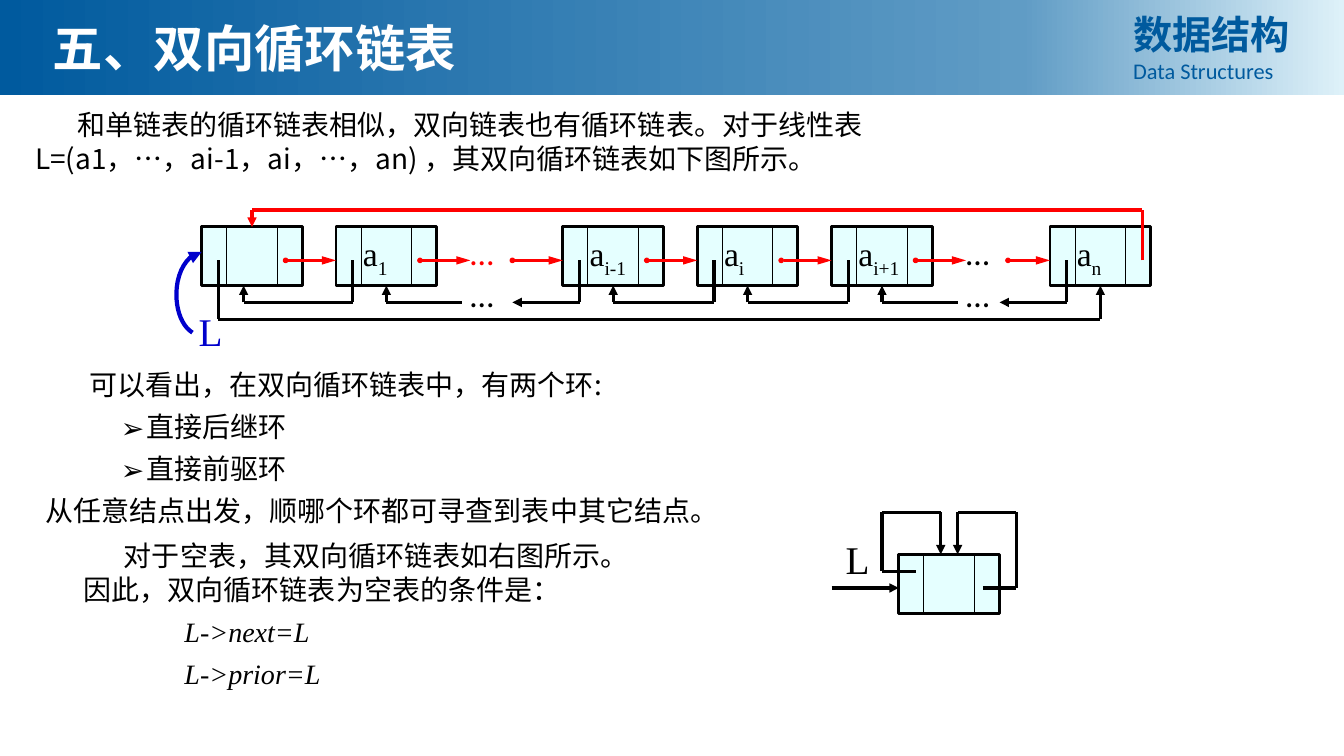
"""Build a slide on the doubly linked circular list."""
from copy import deepcopy
from dataclasses import dataclass
from typing import Optional

from lxml import etree
from pptx import Presentation
from pptx.dml.color import RGBColor
from pptx.enum.shapes import MSO_CONNECTOR, MSO_SHAPE
from pptx.enum.text import MSO_ANCHOR, PP_ALIGN
from pptx.oxml.ns import qn
from pptx.util import Pt

RECT = MSO_SHAPE.RECTANGLE
LINE = MSO_CONNECTOR.STRAIGHT
MID = MSO_ANCHOR.MIDDLE
LEFT = PP_ALIGN.LEFT
SONG, ROMAN, SANS = "Noto Sans CJK SC", "Times New Roman", "Calibri"
BLACK, RED, BLUE, NAVY, WHITE = "000000", "FF0000", "0000CC", "005A9E", "FFFFFF"
TOP, LOW = 0, 2
WIDE, HIGH = 72, 42
ROW, NEXT, PRIOR = 162, 186, 216


@dataclass
class Run:
    text: str
    size: float = 20
    font: str = SONG
    hue: str = BLACK
    bold: bool = False
    ital: bool = False
    base: int = 0


@dataclass
class Para:
    runs: list[Run]
    left: float = 0
    first: float = 0
    gap: float = 0
    mark: str = ""


@dataclass
class Box:
    x: float
    y: float
    w: float
    h: float
    paras: list[Para]
    side: float = 7.2
    wrap: bool = True


@dataclass
class Wire:
    dots: list[tuple[float, float]]
    hue: str = BLACK
    width: float = 2.25
    tip: bool = True
    link: bool = False
    join: Optional[tuple] = None


def rgb(code: str) -> RGBColor:
    """Turn a hex string into a colour."""
    return RGBColor.from_string(code)


def add_tag(host, name: str, **attrs: str) -> None:
    """Append one drawing element."""
    etree.SubElement(host, qn(name), attrs)


def write(frame, paras: list[Para]) -> None:
    """Fill a text frame run by run."""
    for i, para in enumerate(paras):
        p = frame.add_paragraph() if i else frame.paragraphs[0]
        props = p._p.get_or_add_pPr()
        props.set("marL", str(Pt(para.left)))
        props.set("indent", str(Pt(para.first)))
        if para.mark:
            add_tag(props, "a:buFont", typeface=SONG)
            add_tag(props, "a:buChar", char=para.mark)
        p.alignment = LEFT
        p.space_before = Pt(para.gap)
        for part in para.runs:
            if part.text == "\n":
                p.add_line_break()
                continue
            run = p.add_run()
            run.text = part.text
            font = run.font
            font.size, font.name = Pt(part.size), part.font
            font.bold, font.italic = part.bold, part.ital
            font.color.rgb = rgb(part.hue)
            props = run._r.get_or_add_rPr()
            add_tag(props, "a:ea", typeface=part.font)
            if part.base:
                props.set("baseline", str(part.base * 1000))


def draw_box(shapes, box: Box) -> None:
    """Draw one text box."""
    frame = shapes.add_textbox(Pt(box.x), Pt(box.y), Pt(box.w), Pt(box.h)).text_frame
    frame.word_wrap = box.wrap
    frame.margin_left = frame.margin_right = Pt(box.side)
    write(frame, box.paras)


def draw_wire(shapes, wire: Wire) -> None:
    """Draw a bent wire as straight connectors."""
    last = len(wire.dots) - 2
    for i, (a, b) in enumerate(zip(wire.dots, wire.dots[1:])):
        line = shapes.add_connector(LINE, *(Pt(v) for v in a + b))
        line.line.width = Pt(wire.width)
        line.line.color.rgb = rgb(wire.hue)
        edge = line.line._get_or_add_ln()
        if wire.link:
            add_tag(edge, "a:headEnd", type="oval", w="sm", len="sm")
        if wire.tip and i == last:
            add_tag(edge, "a:tailEnd", type="triangle", w="med", len="lg" if wire.link else "med")
        add_tag(line._element.spPr, "a:effectLst")
        if wire.join and i == last:
            line.end_connect(*wire.join)


def draw_node(shapes, x: float, y: float, sub: str = ""):
    """Draw a three-cell node."""
    node = shapes.add_shape(RECT, Pt(x), Pt(y), Pt(WIDE), Pt(HIGH))
    node.shadow.inherit = False
    node.fill.solid()
    node.fill.fore_color.rgb = rgb("CCFFFF")
    add_tag(node._element.spPr.find(".//" + qn("a:srgbClr")), "a:alpha", val="50000")
    node.line.color.rgb, node.line.width = rgb(BLACK), Pt(2)
    if sub:
        frame = node.text_frame
        frame.vertical_anchor = MID
        frame.margin_left, frame.margin_right = Pt(19.2), Pt(0)
        write(frame, [Para([Run("a", 24, ROMAN), Run(sub, 24, ROMAN, base=-25)])])
    for cut in (18, 54):
        draw_wire(shapes, Wire([(x + cut, y), (x + cut, y + HIGH)], width=0.75, tip=False))
    return node


def draw_arc(shapes) -> None:
    """Draw the curved arrow from L to the head node."""
    bends = [((137.5, 237.6), (130.3, 233.3), (126, 222.5), (126, 210.2)),
             ((126, 210.2), (126, 194.4), (133.9, 181.4), (144, 180))]
    dots = [tuple(Pt((1 - t) ** 3 * a + 3 * t * (1 - t) ** 2 * b + 3 * t * t * (1 - t) * c + t ** 3 * d)
                  for a, b, c, d in zip(*bend))
            for bend in bends for t in (k / 10 for k in range(1, 11))]
    pen = shapes.build_freeform(Pt(137.5), Pt(237.6))
    pen.add_line_segments(dots, close=False)
    arc = pen.convert_to_shape()
    arc.shadow.inherit = False
    arc.fill.background()
    arc.line.color.rgb, arc.line.width = rgb(BLUE), Pt(3)
    add_tag(arc.line._get_or_add_ln(), "a:tailEnd", type="triangle")


def draw_bar(shapes) -> None:
    """Draw the shaded title bar."""
    bar = shapes.add_shape(RECT, 0, 0, Pt(960), Pt(68))
    bar.shadow.inherit = False
    bar.line.fill.background()
    bar.fill.gradient()
    bar.fill.gradient_angle = 0
    stops = bar._element.spPr.find(".//" + qn("a:gsLst"))
    stops.append(deepcopy(stops[0]))
    for stop, (spot, hue) in zip(bar.fill.gradient_stops, ((0, NAVY), (0.76, "609CC5"), (1, "DEF1F9"))):
        stop.position, stop.color.rgb = spot, rgb(hue)


def main() -> None:
    """Draw and save the slide."""
    deck = Presentation()
    deck.slide_width, deck.slide_height = Pt(960), Pt(540)
    shapes = deck.slides.add_slide(deck.slide_layouts[6]).shapes
    draw_bar(shapes)

    spots = {"": 144, "1": 240, "i-1": 402, "i": 498, "i+1": 594, "n": 750}
    nodes = {sub: draw_node(shapes, x, ROW, sub) for sub, x in spots.items()}
    void = 642
    draw_node(shapes, void, 396)

    hops = [(204, 240), (300, 336), (366, 402), (462, 498), (558, 594), (654, 690), (720, 750)]
    wires = [Wire([(a, NEXT), (b, NEXT)], RED, 2, link=True) for a, b in hops]
    wires.append(Wire([(252, NEXT), (252, PRIOR), (174, PRIOR), (174, ROW + HIGH)]))
    for sub, start in (("1", 330), ("i-1", 510), ("i", 606), ("i+1", 684)):
        end = spots[sub] + 36
        dots = [(start, PRIOR), (end, PRIOR), (end, ROW + HIGH)]
        if sub in ("i-1", "i"):
            dots.insert(0, (start, NEXT))
        wires.append(Wire(dots, join=(nodes[sub], LOW)))
    wires += [Wire([(a, NEXT), (a, PRIOR), (b, PRIOR)]) for a, b in ((414, 366), (762, 714))]
    wires += [
        Wire([(816, NEXT), (816, 150), (180, 150), (180, ROW)], RED, join=(nodes[""], TOP)),
        Wire([(156, NEXT), (156, 228), (786, 228), (786, ROW + HIGH)], join=(nodes["n"], LOW)),
        Wire([(594, 420), (void, 420)]),
        Wire([(702, 420), (726, 420), (726, 366), (684, 366), (684, 396)]),
        Wire([(654, 408), (630, 408), (630, 366), (672, 366), (672, 396)])]
    for wire in wires:
        draw_wire(shapes, wire)
    draw_arc(shapes)

    boxes = [Box(x, y, 18, 36, [Para([Run("…", 24, SANS, RED if (x, y) == (336, 162) else BLACK)])], 0)
             for x in (336, 690) for y in (162, 192)]
    boxes += [Box(x, y, 32, 41, [Para([Run("L", 28, ROMAN, hue)])], wrap=False)
              for x, y, hue in ((134.8, 216, BLUE), (597, 379.2, BLACK))]
    boxes += [
        Box(18, 73.2, 654, 55, [Para([Run(
            "和单链表的循环链表相似，双向链表也有循环链表。对于线性表 "
            "L=(a1，…，ai-1，ai，…，an) ，其双向循环链表如下图所示。")], first=30)]),
        Box(25.2, 259.2, 672, 126, [
            Para([Run("可以看出，在双向循环链表中，有两个环:")], first=31.4),
            *(Para([Run(f"直接{way}环")], 72, -18, 6, "➢") for way in ("后继", "前驱")),
            Para([Run("从任意结点出发，顺哪个环都可寻查到表中其它结点。")], gap=6)]),
        Box(52.7, 381.3, 438, 119, [
            Para([Run("对于空表，其双向循环链表如右图所示。"), Run("\n"),
                  Run("因此，双向循环链表为空表的条件是：")], first=28.8),
            *(Para([Run(f"L->{way}=L", font=ROMAN, ital=True)], 72, gap=6) for way in ("next", "prior"))]),
        Box(30.7, 8.6, 593, 51, [Para([Run("五、双向循环链表", 36, hue=WHITE, bold=True)])]),
        Box(802.3, 3.6, 137.5, 60.5, [
            Para([Run("数据结构", 28, hue=NAVY, bold=True)]),
            Para([Run("Data Structures", 16, SANS, NAVY)])])]
    for box in boxes:
        draw_box(shapes, box)
    deck.save("out.pptx")


if __name__ == "__main__":
    main()
